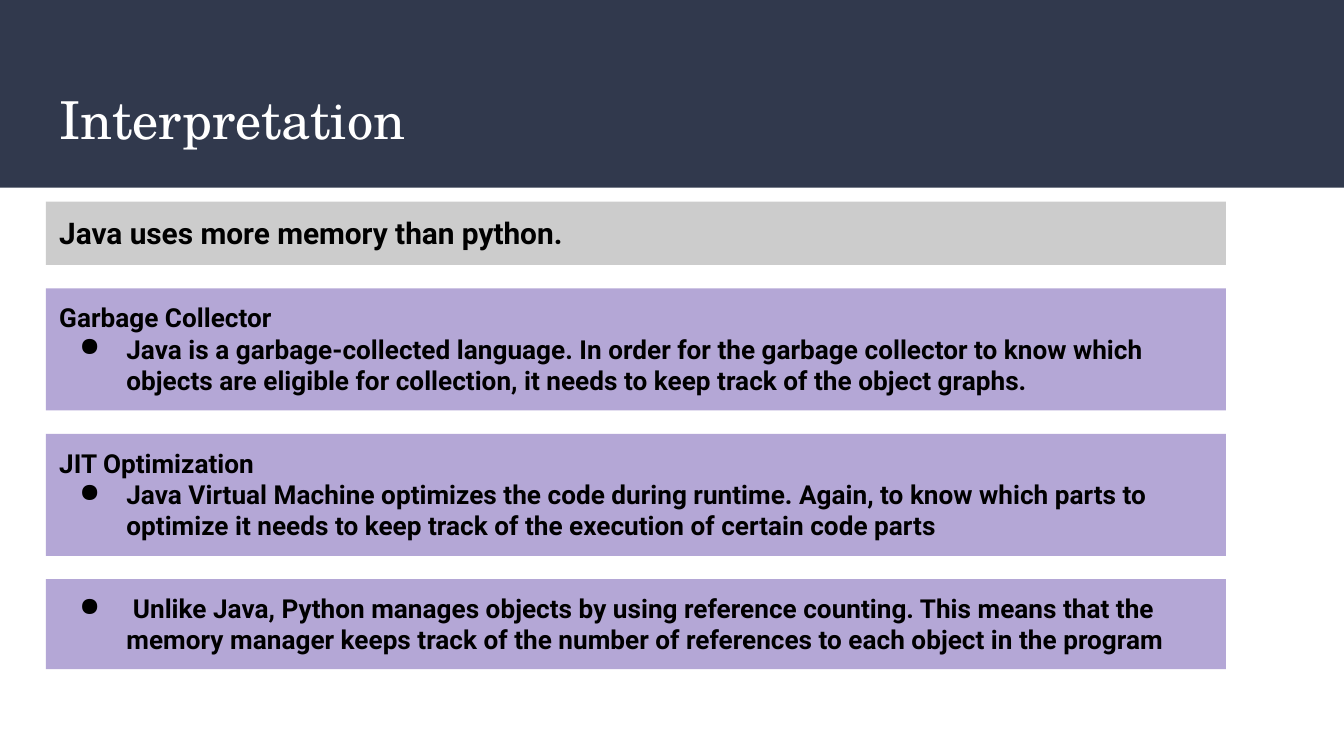
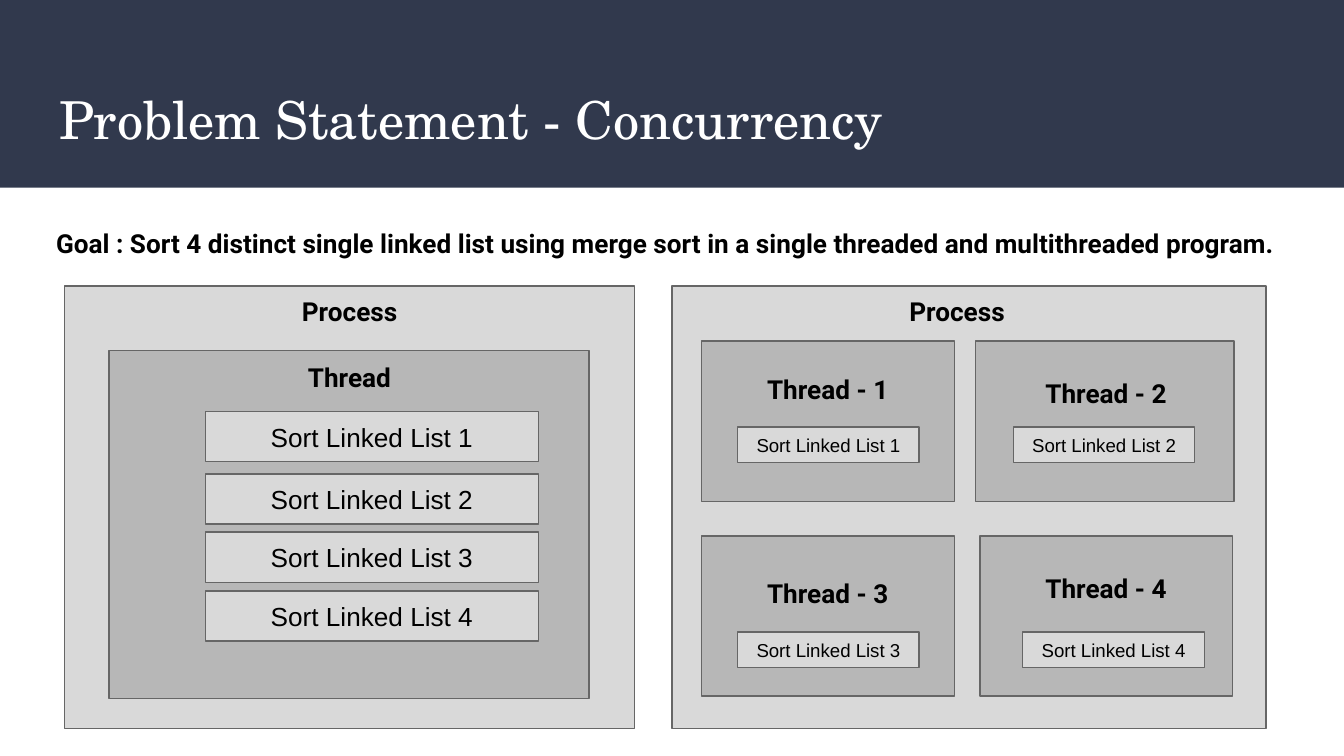
from lxml import etree
from pptx import Presentation
from pptx import util as u
from pptx.dml.color import RGBColor
from pptx.enum import shapes, text
from pptx.oxml.ns import qn

NAVY, WHITE, BLACK = "31394D", "FFFFFF", "000000"
LILAC, SILVER = "B4A7D6", "CCCCCC"
LIGHT, MID, EDGE = "D9D9D9", "B7B7B7", "666666"
SERIF, SANS, PLAIN = "TeX Gyre Schola", "Roboto", "Arial"
LEFT, CENTER = text.PP_ALIGN.LEFT, text.PP_ALIGN.CENTER
TOP, MIDDLE = text.MSO_ANCHOR.TOP, text.MSO_ANCHOR.MIDDLE
WIDTH, HEIGHT = 25.4, 14.29


def color(value):
    """Turn a hex string into a colour."""
    return RGBColor.from_string(value)


def add_box(s, x, y, w, h, fill, line=None):
    """Add a flat rectangle, lengths in centimetres."""
    sp = s.shapes.add_shape(shapes.MSO_SHAPE.RECTANGLE,
                            u.Cm(x), u.Cm(y), u.Cm(w), u.Cm(h))
    sp.shadow.inherit = False
    sp.fill.solid()
    sp.fill.fore_color.rgb = color(fill)
    if line:
        sp.line.color.rgb = color(line)
        sp.line.width = u.Pt(0.75)
    else:
        sp.line.fill.background()
    return sp


def add_bullet(p):
    """Give a paragraph a black round bullet and a hanging indent."""
    pPr = p._p.get_or_add_pPr()
    pPr.set("marL", str(u.Cm(1.27)))
    pPr.set("indent", str(u.Cm(-0.89)))
    clr = etree.Element(qn("a:buClr"))
    etree.SubElement(clr, qn("a:srgbClr"), val=BLACK)
    char = etree.Element(qn("a:buChar"), char="●")
    pPr.insert(0, clr)
    pPr.insert(1, char)


def write(sp, lines, size, font=SANS, bold=True, fill=BLACK, align=LEFT,
          anchor=TOP, bullets=()):
    """Fill a shape with paragraphs; bullets holds the indexes to mark."""
    tf = sp.text_frame
    tf.word_wrap = True
    tf.vertical_anchor = anchor
    tf.margin_left = tf.margin_right = u.Cm(0.25)
    tf.margin_top = tf.margin_bottom = u.Cm(0.25)
    for i, line in enumerate(lines):
        p = tf.add_paragraph() if i else tf.paragraphs[0]
        p.add_run().text = line
        p.alignment = align
        p.font.size = u.Pt(size)
        p.font.name = font
        p.font.bold = bold
        p.font.color.rgb = color(fill)
        if i in bullets:
            add_bullet(p)


def add_label(s, x, y, w, label, size=14, h=1.12, **style):
    """Add one line of text without a box."""
    sp = s.shapes.add_textbox(u.Cm(x), u.Cm(y), u.Cm(w), u.Cm(h))
    write(sp, [label], size, **style)


def add_task(s, x, y, w, h, number, size):
    """Add a small box for the sorting of one list."""
    sp = add_box(s, x, y, w, h, LIGHT, EDGE)
    write(sp, [f"Sort Linked List {number}"], size, font=PLAIN, bold=False,
          align=CENTER, anchor=MIDDLE)


def add_titled_slide(prs, title):
    """Add a blank slide with the dark band and its title."""
    s = prs.slides.add_slide(prs.slide_layouts[6])
    add_box(s, 0, 0, WIDTH, 3.55, NAVY)
    add_label(s, 0.87, 1.4, 23.67, title, size=28, h=1.73, font=SERIF,
              bold=False, fill=WHITE)
    return s


def interpretation(prs):
    """Build the slide that explains the memory use."""
    s = add_titled_slide(prs, "Interpretation")
    panels = [
        (1.2, SILVER, 16, ["Java uses more memory than python."], ()),
        (2.31, LILAC, 14, [
            "Garbage Collector",
            "Java is a garbage-collected language. In order for the garbage "
            "collector to know which objects are eligible for collection, it "
            "needs to keep track of the object graphs."], (1,)),
        (2.31, LILAC, 14, [
            "JIT Optimization",
            "Java Virtual Machine optimizes the code during runtime. Again, "
            "to know which parts to optimize it needs to keep track of the "
            "execution of certain code parts"], (1,)),
        (1.7, LILAC, 14, [
            " Unlike Java, Python manages objects by using reference "
            "counting. This means that the memory manager keeps track of the "
            "number of references to each object in the program"], (0,)),
    ]
    y, gap = 3.81, 0.44
    for h, fill, size, lines, bullets in panels:
        sp = add_box(s, 0.87, y, 22.3, h, fill)
        write(sp, lines, size, bullets=bullets)
        y += h + gap


def concurrency(prs):
    """Build the slide that compares one thread with four."""
    s = add_titled_slide(prs, "Problem Statement - Concurrency")
    add_label(s, 0.81, 4.04, 24.33,
              "Goal : Sort 4 distinct single linked list using merge sort in "
              "a single threaded and multithreaded program.")

    # Process box and label: left, width, label left
    for x, w, label_x in [(1.22, 10.77, 3.89), (12.7, 11.23, 15.37)]:
        add_box(s, x, 5.41, w, 8.36, LIGHT, EDGE)
        add_label(s, label_x, 5.33, 5.44, "Process", align=CENTER)

    add_box(s, 2.06, 6.63, 9.07, 6.58, MID, EDGE)
    add_label(s, 4.8, 6.58, 3.61, "Thread", align=CENTER)
    for n, y in enumerate([7.78, 8.96, 10.06, 11.17], 1):
        add_task(s, 3.88, y, 6.3, 0.95, n, 14)

    # Thread box: left, top, width; label: left, top; task: left, top
    threads = [
        (13.26, 6.45, 4.78, 13.84, 6.81, 13.94, 8.07),
        (18.44, 6.45, 4.88, 19.1, 6.88, 19.15, 8.07),
        (13.26, 10.13, 4.78, 13.84, 10.67, 13.94, 11.95),
        (18.52, 10.13, 4.78, 19.1, 10.57, 19.33, 11.95),
    ]
    for n, (x, y, w, label_x, label_y, task_x, task_y) in enumerate(threads, 1):
        add_box(s, x, y, w, 3.03, MID, EDGE)
        add_label(s, label_x, label_y, 3.61, f"Thread - {n}", align=CENTER)
        add_task(s, task_x, task_y, 3.43, 0.67, n, 10)


def main():
    """Build and save the presentation."""
    prs = Presentation()
    prs.slide_width, prs.slide_height = u.Cm(WIDTH), u.Cm(HEIGHT)
    interpretation(prs)
    concurrency(prs)
    prs.save("out.pptx")


main()
